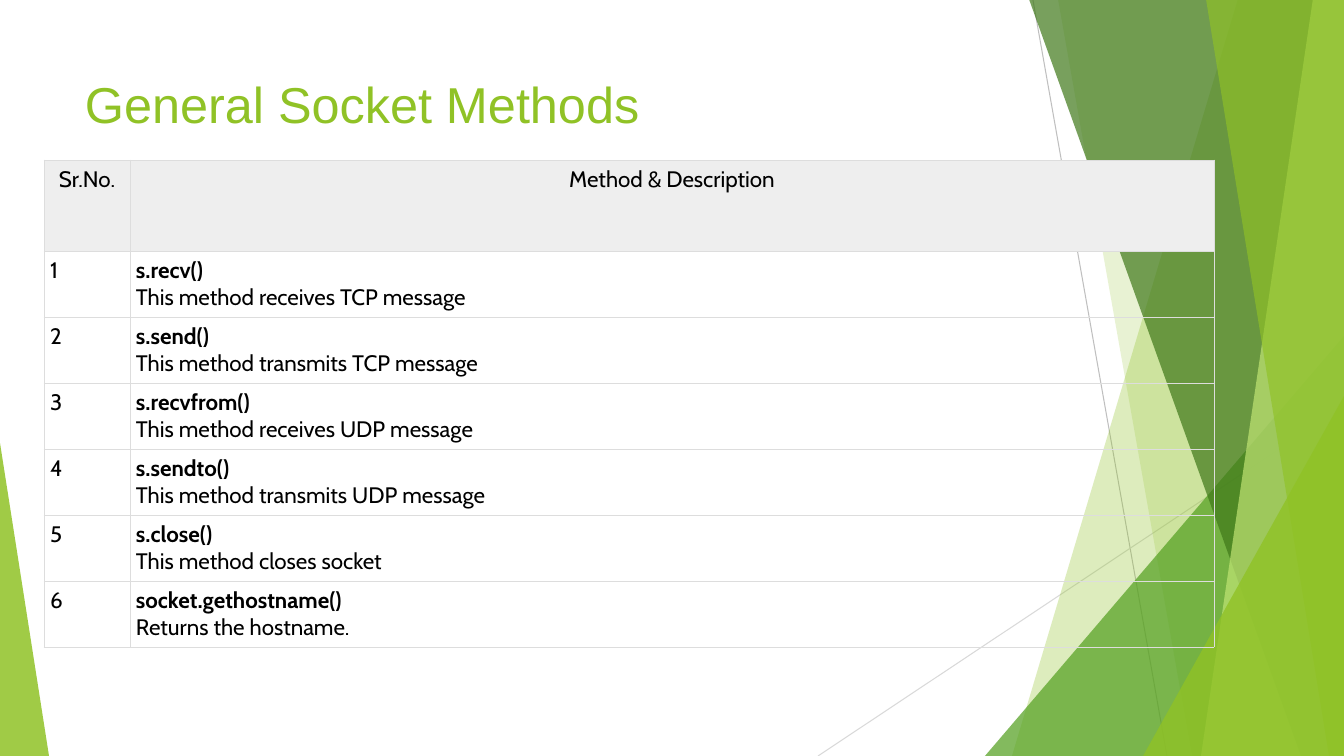
from pptx import Presentation
from pptx.dml.color import RGBColor
from pptx.enum.shapes import MSO_CONNECTOR, MSO_SHAPE
from pptx.enum.text import MSO_ANCHOR, PP_ALIGN
from pptx.oxml.ns import qn
from pptx.util import Pt
from lxml import etree

EMU_PER_PX = 914400 / 100.8
WIDTH, HEIGHT = 1344, 756
STRAIGHT = MSO_CONNECTOR.STRAIGHT
TRIANGLE = MSO_SHAPE.ISOSCELES_TRIANGLE
TOP = MSO_ANCHOR.TOP
LEFT, CENTER, JUSTIFY = PP_ALIGN.LEFT, PP_ALIGN.CENTER, PP_ALIGN.JUSTIFY
COLORS = {
    "lime": "90C226", "green": "54A021", "forest": "3F7819", "pale": "C0E474",
    "ray": "BFBFBF", "light_ray": "D9D9D9", "border": "DDDDDD",
    "header": "EEEEEE", "text": "000000",
}


def px(length):
    """Convert pixels to whole EMU."""
    return round(length * EMU_PER_PX)


class SlideBuilder:
    """Holds the style and the slide being built."""

    heading_font, body_font = "Arial", "Cabin"
    heading_size, body_size = 36, 16
    cell_inset = 6

    def __init__(self, slide):
        self.slide = slide
        self.shapes = slide.shapes

    def color(self, name):
        """Return a named colour."""
        return RGBColor.from_string(COLORS[name])

    def paint(self, shape, color, opacity):
        """Give a shape a translucent fill with no outline or shadow."""
        shape.shadow.inherit = False
        shape.line.fill.background()
        shape.fill.solid()
        shape.fill.fore_color.rgb = self.color(color)
        solid = shape._element.spPr.find(qn("a:solidFill"))
        etree.SubElement(solid[0], qn("a:alpha"), val=str(opacity * 1000))

    def ray(self, start, end, color):
        """Draw a thin straight line."""
        line = self.shapes.add_connector(STRAIGHT, *map(px, start + end))
        line.line.color.rgb = self.color(color)
        line.line.width = Pt(0.75)
        etree.SubElement(line._element.spPr, qn("a:effectLst"))

    def band(self, top_x, bottom_x, color, opacity):
        """Fill from a slanted left edge to the right side of the slide."""
        outline = self.shapes.build_freeform(top_x, -1, scale=EMU_PER_PX)
        outline.add_line_segments(
            [(WIDTH, -1), (WIDTH, HEIGHT), (bottom_x, HEIGHT)], close=True)
        self.paint(outline.convert_to_shape(), color, opacity)

    def corner(self, left, top, width, apex, color, opacity):
        """Draw a triangle standing on the bottom edge of the slide."""
        triangle = self.shapes.add_shape(
            TRIANGLE, px(left), px(top), px(width), px(HEIGHT - top))
        triangle.adjustments[0] = apex
        self.paint(triangle, color, opacity)

    def style(self, paragraph, font, size, color, align=LEFT, bold=False):
        """Format a paragraph and its runs."""
        paragraph.alignment = align
        for run in paragraph.runs:
            run.font.name, run.font.size, run.font.bold = font, Pt(size), bold
            run.font.color.rgb = self.color(color)

    def title(self, text, left, top, width, height):
        """Add the slide heading."""
        frame = self.shapes.add_textbox(
            px(left), px(top), px(width), px(height)).text_frame
        frame.word_wrap = True
        frame.vertical_anchor = TOP
        frame.text = text
        self.style(frame.paragraphs[0], self.heading_font,
                   self.heading_size, "lime")

    def borders(self, cell):
        """Outline all four sides of a cell, ahead of its fill."""
        properties = cell._tc.get_or_add_tcPr()
        for position, side in enumerate(("lnL", "lnR", "lnT", "lnB")):
            line = etree.Element(qn(f"a:{side}"), w=str(Pt(0.75)))
            solid = etree.SubElement(line, qn("a:solidFill"))
            etree.SubElement(solid, qn("a:srgbClr"), val=COLORS["border"])
            properties.insert(position, line)

    def cell(self, cell, text, align, is_header, bold_first):
        """Fill and format one table cell."""
        cell.margin_left = cell.margin_right = px(self.cell_inset)
        cell.margin_top = cell.margin_bottom = px(self.cell_inset)
        cell.vertical_anchor = TOP
        if is_header:
            cell.fill.solid()
            cell.fill.fore_color.rgb = self.color("header")
        else:
            cell.fill.background()
        self.borders(cell)
        cell.text_frame.text = text
        for index, paragraph in enumerate(cell.text_frame.paragraphs):
            self.style(paragraph, self.body_font, self.body_size, "text",
                       align, bold_first and index == 0)

    def table(self, rows, left, top, widths, header_height, row_height):
        """Add a table whose first row is the header."""
        heights = [header_height] + [row_height] * (len(rows) - 1)
        table = self.shapes.add_table(
            len(rows), len(widths), px(left), px(top),
            px(sum(widths)), px(sum(heights))).table
        table.horz_banding = False
        for column, width in zip(table.columns, widths):
            column.width = px(width)
        for r, (row, height) in enumerate(zip(rows, heights)):
            table.rows[r].height = px(height)
            for c, text in enumerate(row):
                align = CENTER if r == 0 else (LEFT, JUSTIFY)[c]
                self.cell(table.cell(r, c), text, align, r == 0, r and c)


METHODS = [
    ("s.recv()", "This method receives TCP message"),
    ("s.send()", "This method transmits TCP message"),
    ("s.recvfrom()", "This method receives UDP message"),
    ("s.sendto()", "This method transmits UDP message"),
    ("s.close()", "This method closes socket"),
    ("socket.gethostname()", "Returns the hostname."),
]

deck = Presentation()
deck.slide_width, deck.slide_height = px(WIDTH), px(HEIGHT)
page = SlideBuilder(deck.slides.add_slide(deck.slide_layouts[6]))

page.ray((1033, 0), (1167, HEIGHT), "ray")
page.ray((WIDTH, 406), (818, HEIGHT), "light_ray")
page.band(1238, 1012, "lime", 30)
page.band(1058, 1192, "lime", 20)
page.corner(985, 336, 359, 1, "green", 72)
page.band(1029, 1301, "forest", 70)
page.band(1313, 1201, "pale", 70)
page.band(1206, 1329, "lime", 65)
page.corner(1143, 396, 201, 1, "lime", 80)
page.corner(0, 443, 49, 0, "lime", 85)

page.title("General Socket Methods", 75, 68, 948, 145)
method_rows = [(str(number), "\n".join(method))
               for number, method in enumerate(METHODS, 1)]
page.table([("Sr.No.", "Method & Description")] + method_rows,
           44, 160, (86, 1084), 91, 66)

deck.save("out.pptx")
